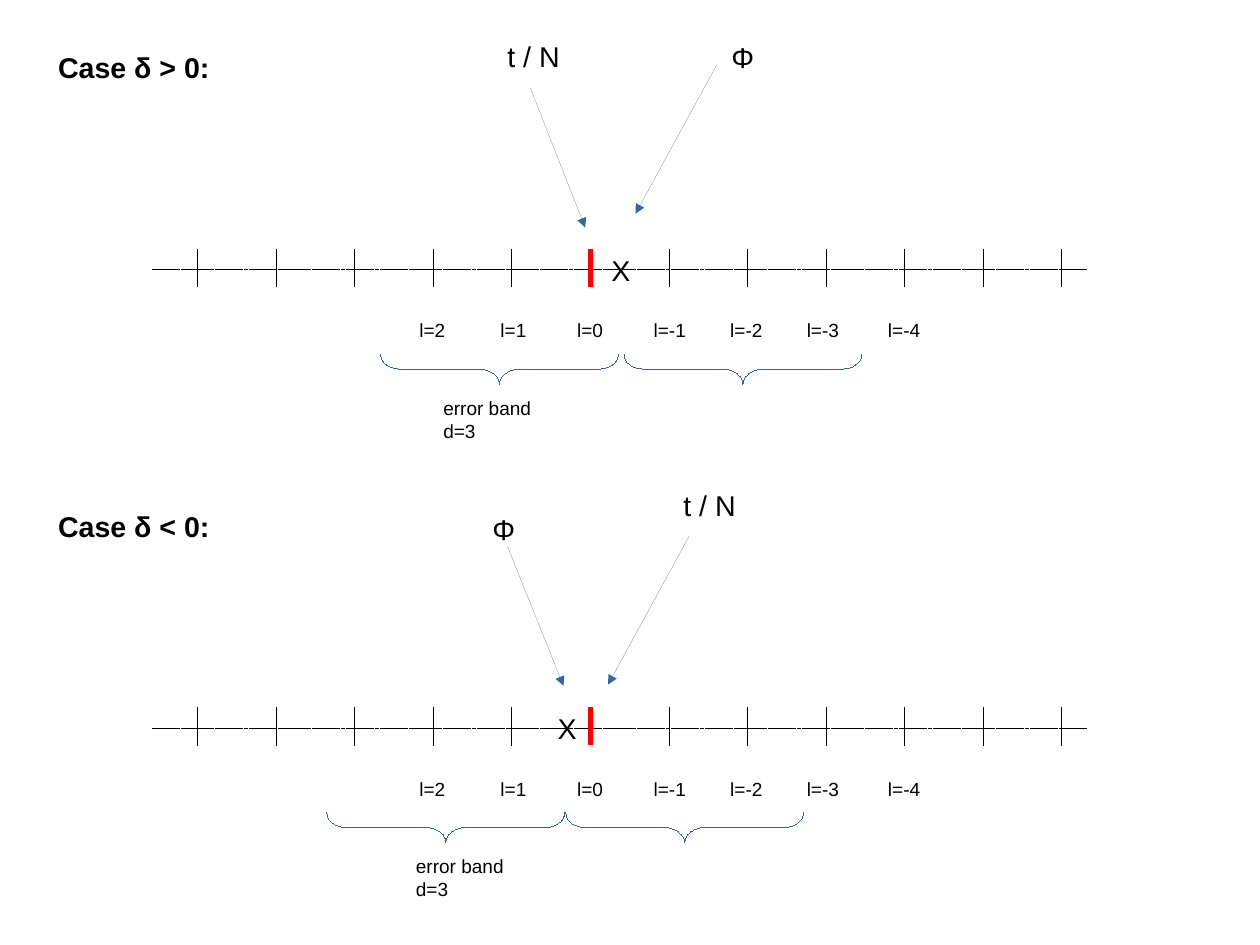
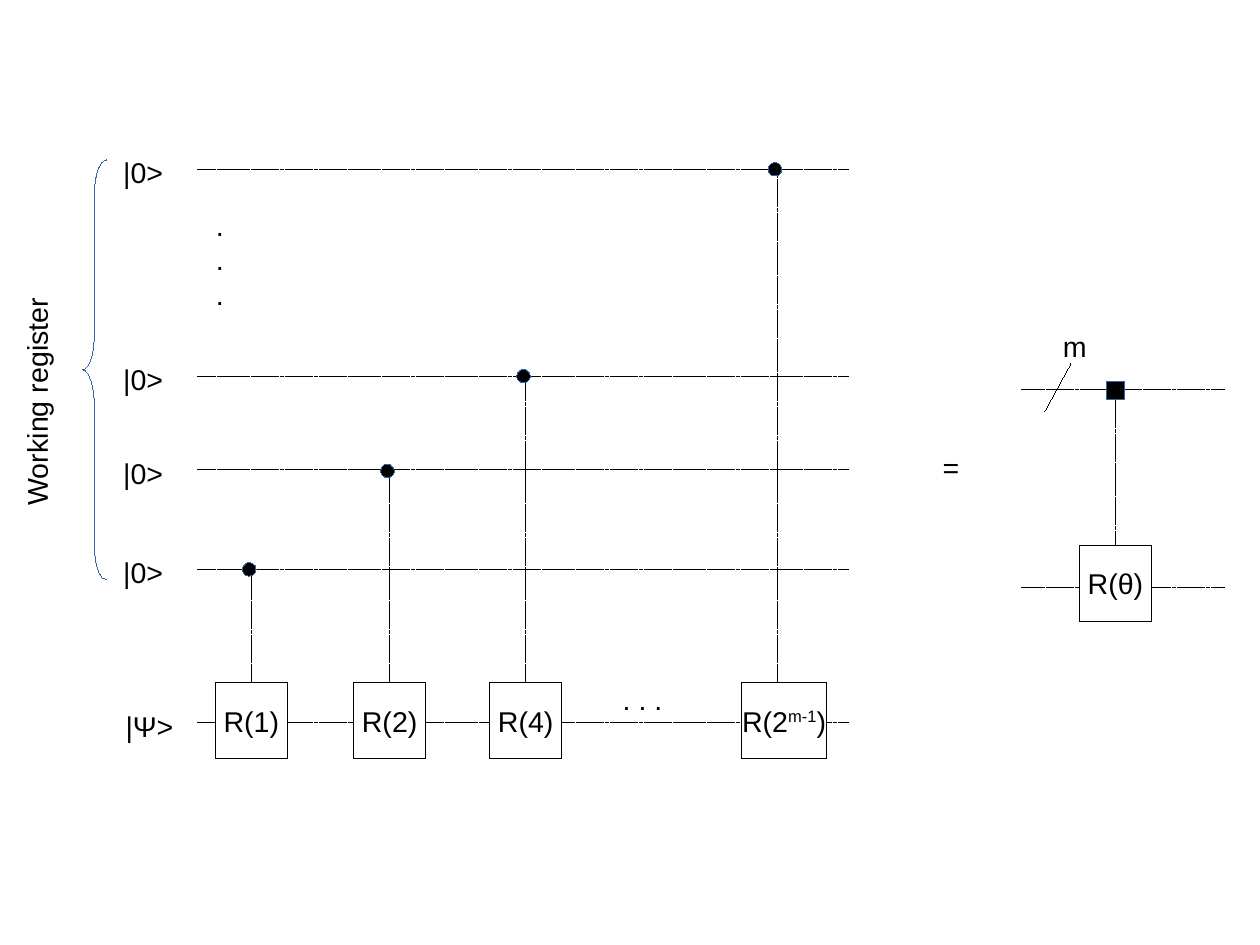
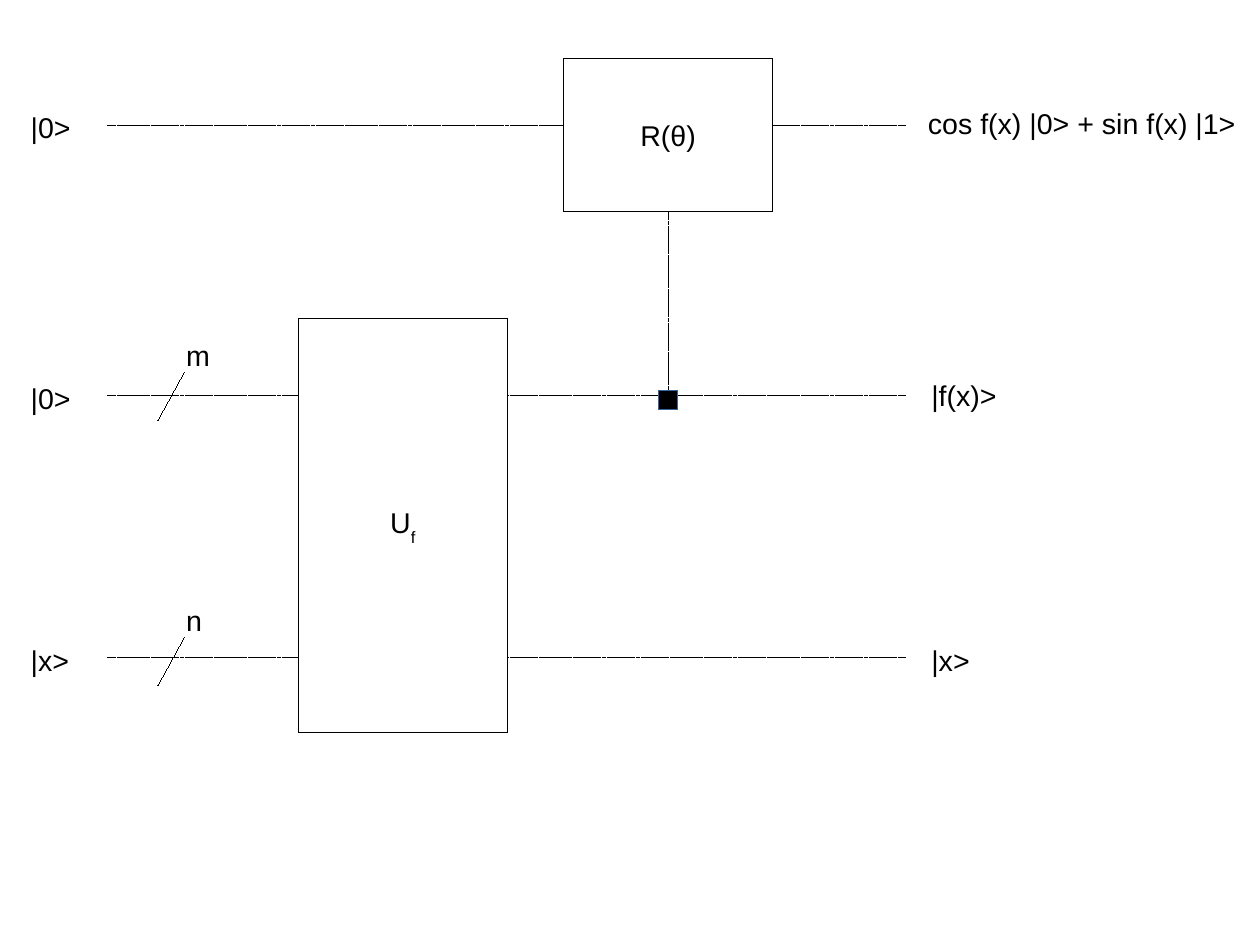
from lxml import etree
from pptx import Presentation
from pptx.dml.color import RGBColor
from pptx.enum import dml, shapes, text
from pptx.oxml.ns import qn
from pptx.util import Cm, Inches, Pt

FONT = "Arial"
COLORS = {"ink": "000000", "paper": "FFFFFF", "accent": "3465A4", "mark": "FF0000"}
LABEL_H = 0.38

# Slide 1: a number line for each sign of δ
AXIS = (1.33, 9.51)
TICK_START, TICK_END, TICK_COUNT, TARGET_TICK = 1.73, 9.29, 12, 5
BAND_W, BAND_H = 2.08, 0.26
TICK_LABELS = [("l=2", 3.57), ("l=1", 4.28), ("l=0", 4.95), ("l=-1", 5.62),
               ("l=-2", 6.29), ("l=-3", 6.96), ("l=-4", 7.67)]
CASES = [
    {"title": "Case δ > 0:", "title_y": 0.39, "axis_y": 2.36, "x_mark": 5.25,
     "names": [("t / N", 4.34, 0.29), ("Φ", 6.3, 0.3)],
     "arrows": [(4.64, 0.77, 5.12, 1.99), (6.27, 0.57, 5.56, 1.87)],
     "bands": [3.33, 5.46], "band_text": 3.78},
    {"title": "Case δ < 0:", "title_y": 4.4, "axis_y": 6.37, "x_mark": 4.78,
     "names": [("t / N", 5.88, 4.22), ("Φ", 4.21, 4.43)],
     "arrows": [(4.44, 4.78, 4.93, 6), (6.03, 4.69, 5.32, 5.99)],
     "bands": [2.86, 4.95], "band_text": 3.54},
]

# Slide 2: (ket, left of ket, wire height)
REGISTER = [("|0>", 0.98, 1.48), ("|0>", 0.98, 3.29), ("|0>", 0.98, 4.11),
            ("|0>", 0.98, 4.98), ("|Ψ>", 1, 6.32)]
GATE_W, GATE_H, GATE_Y = 0.63, 0.67, 5.97
# (text runs with baseline percent, column, wire height of the control)
ROTATIONS = [([("R(1)", 0)], 2.2, 4.98), ([("R(2)", 0)], 3.41, 4.12),
             ([("R(4)", 0)], 4.6, 3.29)]
LAST_ROTATION = [("R(2", 0), ("m-1", 33), (")", 0)]
R_THETA = [("R(θ)", 0)]

# Slide 3: (input, its top, wire height, output, its left, its top, output width)
WIRES = [("|0>", 0.91, 1.1, "cos f(x) |0> + sin f(x) |1>", 8.02, 0.88, 3.19),
         ("|0>", 3.28, 3.46, "|f(x)>", 8.05, 3.26, 1.09),
         ("|x>", 5.58, 5.75, "|x>", 8.05, 5.58, 1.09)]
BUNDLES = [("m", 1.38, 3.26), ("n", 1.38, 5.58)]
U_F = [("U", 0), ("f", -33)]


def color(name):
    return RGBColor.from_string(COLORS[name])


def add_run(p, content, size=18, bold=False, baseline=0):
    r = p.add_run()
    r.text = content
    r.font.name, r.font.size, r.font.bold = FONT, Pt(size), bold
    r.font.color.rgb = color("ink")
    if baseline:
        r.font._element.set("baseline", str(baseline * 1000))


def label(s, content, x, y, w, h=LABEL_H, size=18, bold=False):
    """Add a text box with one paragraph per line of content."""
    box = s.shapes.add_textbox(Inches(x), Inches(y), Inches(w), Inches(h))
    tf = box.text_frame
    tf.word_wrap = True
    for i, row in enumerate(content.split("\n")):
        p = tf.add_paragraph() if i else tf.paragraphs[0]
        add_run(p, row, size, bold)
    return box


def set_line(sp, ink, width=0):
    """Colour the line; width 0 (a hairline) must be written out to beat the theme."""
    sp.line.color.rgb = color(ink)
    sp.line._get_or_add_ln().set("w", str(int(Pt(width))))


def line(s, x1, y1, x2, y2, ink="ink", width=0, dashed=False, arrow=False):
    c = s.shapes.add_connector(shapes.MSO_CONNECTOR.STRAIGHT, Inches(x1), Inches(y1),
                               Inches(x2), Inches(y2))
    set_line(c, ink, width)
    if dashed:
        c.line.dash_style = dml.MSO_LINE.SQUARE_DOT
    if arrow:
        etree.SubElement(c.line._get_or_add_ln(), qn("a:tailEnd"), type="triangle")
    etree.SubElement(c._element.spPr, qn("a:effectLst"))
    return c


def wire(s, x1, y1, x2, y2):
    return line(s, x1, y1, x2, y2, dashed=True)


def shape(s, kind, x, y, w, h, fill=None, ink="ink"):
    sp = s.shapes.add_shape(kind, Inches(x), Inches(y), Inches(w), Inches(h))
    sp.shadow.inherit = False
    if fill:
        sp.fill.solid()
        sp.fill.fore_color.rgb = color(fill)
    else:
        sp.fill.background()
    set_line(sp, ink)
    return sp


def gate(s, runs, x, y, w=GATE_W, h=GATE_H):
    sp = shape(s, shapes.MSO_SHAPE.RECTANGLE, x, y, w, h, "paper")
    tf = sp.text_frame
    tf.word_wrap = False
    tf.vertical_anchor = text.MSO_ANCHOR.MIDDLE
    p = tf.paragraphs[0]
    p.alignment = text.PP_ALIGN.CENTER
    for content, baseline in runs:
        add_run(p, content, baseline=baseline)
    return sp


def control(s, kind, cx, cy, size):
    return shape(s, kind, cx - size / 2, cy - size / 2, size, size, "ink", "accent")


def brace(s, x, y, w, h, bend, rotation=0):
    sp = shape(s, shapes.MSO_SHAPE.LEFT_BRACE, x, y, w, h, ink="accent")
    sp.adjustments[0] = bend
    sp.rotation = rotation


def bundle(s, name, x, y, name_dx=0.15):
    """Slash a wire and name its number of qubits."""
    line(s, x + 0.23, y, x, y + 0.42)
    label(s, name, x + name_dx, y - 0.35, 0.42)


def number_line(s, case):
    y = case["axis_y"]
    label(s, case["title"], 0.41, case["title_y"], 3.46, bold=True)
    wire(s, AXIS[0], y, AXIS[1], y)
    step = (TICK_END - TICK_START) / (TICK_COUNT - 1)
    for i in range(TICK_COUNT):
        x = TICK_START + i * step
        ink, width = ("mark", 2.89) if i == TARGET_TICK else ("ink", 0)
        line(s, x, y - 0.18, x, y + 0.15, ink, width)
    for name, x, top in case["names"]:
        label(s, name, x, top, 0.79)
    for ends in case["arrows"]:
        line(s, *ends, ink="accent", arrow=True)
    label(s, "X", case["x_mark"], y - 0.2, 0.42)
    for name, x in TICK_LABELS:
        label(s, name, x, y + 0.38, 0.52, 0.29, size=12)
    for x in case["bands"]:
        # the frame is given upright, then turned about its centre
        brace(s, x + (BAND_W - BAND_H) / 2, y - 0.17, BAND_H, BAND_W, 0.67, 270)
    label(s, "error band d=3", case["band_text"], y + 1.06, 1.11, 0.47, size=12)


def error_bands(s):
    for case in CASES:
        number_line(s, case)


def controlled_rotations(s):
    dot, square = shapes.MSO_SHAPE.OVAL, shapes.MSO_SHAPE.RECTANGLE
    for ket, x, y in REGISTER:
        label(s, ket, x, y - 0.17, 0.84)
        wire(s, 1.73, y, 7.42, y)
    label(s, ".\n.\n.", 1.79, 1.77, 0.39, 0.94)
    label(s, ". . .", 5.35, 5.92, 1.17)
    brace(s, 0.72, 1.4, 0.21, 3.67, 1.46)
    label(s, "Working register", -0.81, 2.93, 2.52, 0.66).rotation = 270

    for runs, x, y in ROTATIONS:
        box = gate(s, runs, x - GATE_W / 2, GATE_Y)
        wire(s, x, GATE_Y, x, y).begin_connect(box, 0)
        control(s, dot, x - 0.02, y, 0.12)
    gate(s, LAST_ROTATION, 6.49, GATE_Y, 0.74)
    wire(s, 6.8, GATE_Y, 6.8, 1.48)
    control(s, dot, 6.78, 1.48, 0.12)

    label(s, "=", 8.15, 3.89, 1.3)
    for y in (3.41, 5.14):
        wire(s, 8.94, y, 10.72, y)
    x = 9.76
    box = gate(s, R_THETA, x - GATE_W / 2, 4.77)
    square_control = control(s, square, x, 3.42, 0.16)
    link = wire(s, x, 3.5, x, 4.77)
    link.begin_connect(square_control, 2)
    link.end_connect(box, 0)
    bundle(s, "m", 9.14, 3.18, name_dx=0.06)


def function_circuit(s):
    for ket, top, y, result, x, result_top, w in WIRES:
        label(s, ket, 0.17, top, 1.09)
        wire(s, 0.94, y, 7.92, y)
        label(s, result, x, result_top, w)
    for name, x, y in BUNDLES:
        bundle(s, name, x, y)
    gate(s, U_F, 2.61, 2.79, 1.83, 3.62)
    rotation = gate(s, R_THETA, 4.93, 0.51, 1.83, 1.34)
    x = 4.93 + 1.83 / 2
    square_control = control(s, shapes.MSO_SHAPE.RECTANGLE, x, 3.5, 0.16)
    link = wire(s, x, 1.85, x, 3.42)
    link.begin_connect(rotation, 2)
    link.end_connect(square_control, 0)


def main():
    prs = Presentation()
    prs.slide_width = Cm(28)
    prs.slide_height = Cm(21)
    blank = prs.slide_layouts[6]
    for draw in (error_bands, controlled_rotations, function_circuit):
        draw(prs.slides.add_slide(blank))
    prs.save("out.pptx")


if __name__ == "__main__":
    main()
